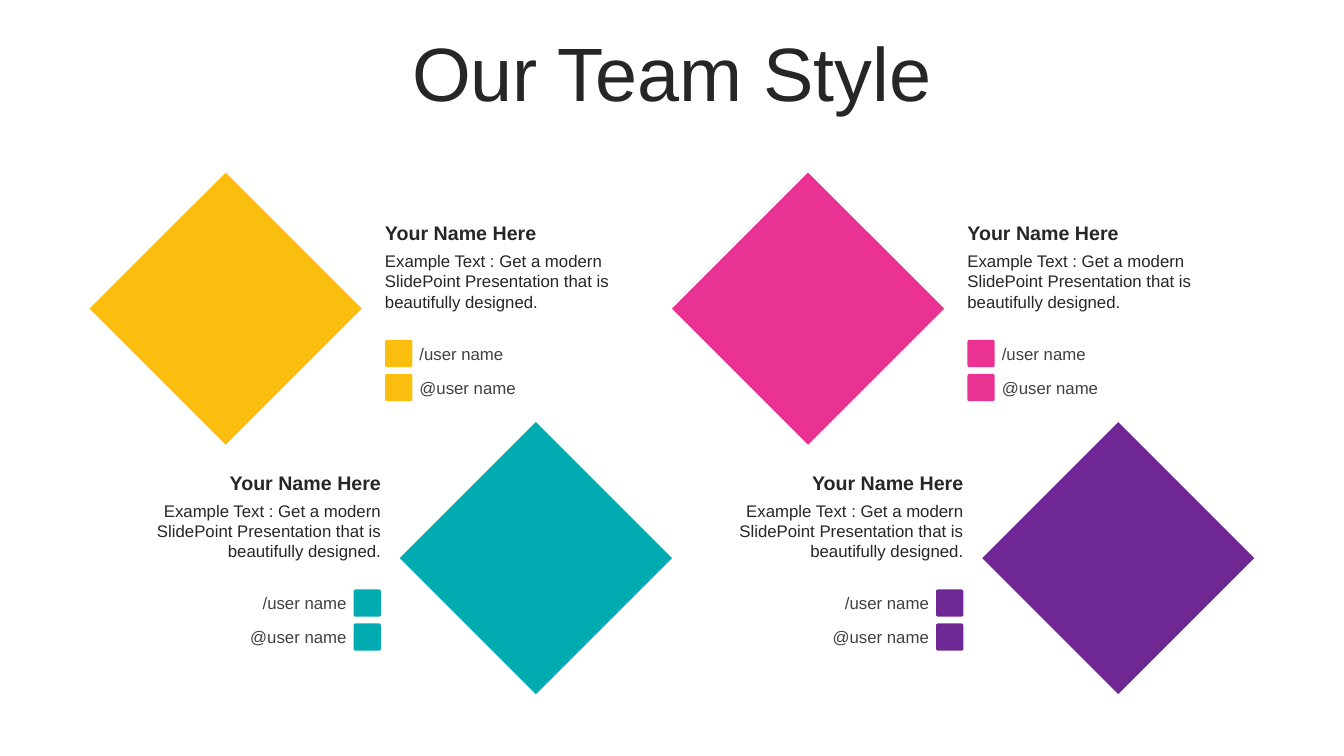
from pptx import Presentation, util as u
from pptx.dml.color import RGBColor
from pptx.enum import shapes, text

W, H = u.Inches(13.33), u.Inches(7.5)
COL, ROW = W / 120, H / 120
DARK, GREY = "262626", "404040"
BODY = "Example Text : Get a modern SlidePoint Presentation that is beautifully designed."
HANDLES = ("/user name", "@user name")
# left column, top row, width in columns, diamond on the right, colour
MEMBERS = [
    (8, 27.4, 50.4, False, "FCBE0E"),
    (10, 67, 50, True, "00ACB2"),
    (60, 27.4, 50.4, False, "EA3293"),
    (62, 67, 50, True, "6F2893"),
]


def rgb(value):
    return RGBColor.from_string(value)


def add_plain(s, kind, box, color):
    sp = s.shapes.add_shape(kind, *map(round, box))
    sp.shadow.inherit = False
    sp.fill.solid()
    sp.fill.fore_color.rgb = rgb(color)
    sp.line.fill.background()
    return sp


def add_text(s, box, words, size, color=DARK, align=text.PP_ALIGN.LEFT, bold=False):
    tf = s.shapes.add_textbox(*map(round, box)).text_frame
    tf.word_wrap = True
    tf.text = words
    p = tf.paragraphs[0]
    p.alignment = align
    font = p.runs[0].font
    font.name, font.size, font.bold = "Arial", u.Pt(size), bold
    font.color.rgb = rgb(color)
    return tf


def add_title(s, box):
    tf = add_text(s, box, "Our Team Style", 54, align=text.PP_ALIGN.CENTER)
    tf.vertical_anchor = text.MSO_ANCHOR.MIDDLE
    tf.paragraphs[0].line_spacing = 0.9


def add_handle(s, box, words, color, mirrored):
    """Place a square badge at one end of the row and its label beside it."""
    x, y, w, h = box
    label_w = w - 1.26 * h
    badge_x, label_x = (x + w - h, x) if mirrored else (x, x + w - label_w)
    badge = add_plain(s, shapes.MSO_SHAPE.ROUNDED_RECTANGLE, (badge_x, y, h, h), color)
    badge.adjustments[0] = 0.07
    align = text.PP_ALIGN.RIGHT if mirrored else text.PP_ALIGN.LEFT
    tf = add_text(s, (label_x, y, label_w, h), words, 12, GREY, align)
    tf.margin_left = tf.margin_right = tf.margin_top = tf.margin_bottom = 0
    tf.vertical_anchor = text.MSO_ANCHOR.MIDDLE


def add_member(s, box, color, mirrored):
    """Place a diamond as tall as the box on one side and the details on the other."""
    x, y, w, h = box
    text_w = 1.025 * h
    diamond_x, text_x = (x + w - h, x) if mirrored else (x, x + w - text_w)
    align = text.PP_ALIGN.RIGHT if mirrored else text.PP_ALIGN.LEFT
    add_plain(s, shapes.MSO_SHAPE.DIAMOND, (diamond_x, y, h, h), color)
    add_text(s, (text_x, y + 0.16 * h, text_w, 0.12 * h), "Your Name Here", 14,
             align=align, bold=True)
    add_text(s, (text_x, y + 0.27 * h, text_w, 0.26 * h), BODY, 12, align=align)
    inset = u.Inches(0.1)
    for i, words in enumerate(HANDLES):
        row = (text_x + inset, y + (0.615 + 0.125 * i) * h, text_w - 2 * inset, 0.1 * h)
        add_handle(s, row, words, color, mirrored)


def main():
    prs = Presentation()
    prs.slide_width, prs.slide_height = W, H
    s = prs.slides.add_slide(prs.slide_layouts[6])
    add_title(s, (3 * COL, 6 * ROW, 114 * COL, 12.6 * ROW))
    for left, top, width, mirrored, color in MEMBERS:
        add_member(s, (left * COL, top * ROW, width * COL, 43.2 * ROW), color, mirrored)
    prs.save("out.pptx")


if __name__ == "__main__":
    main()
